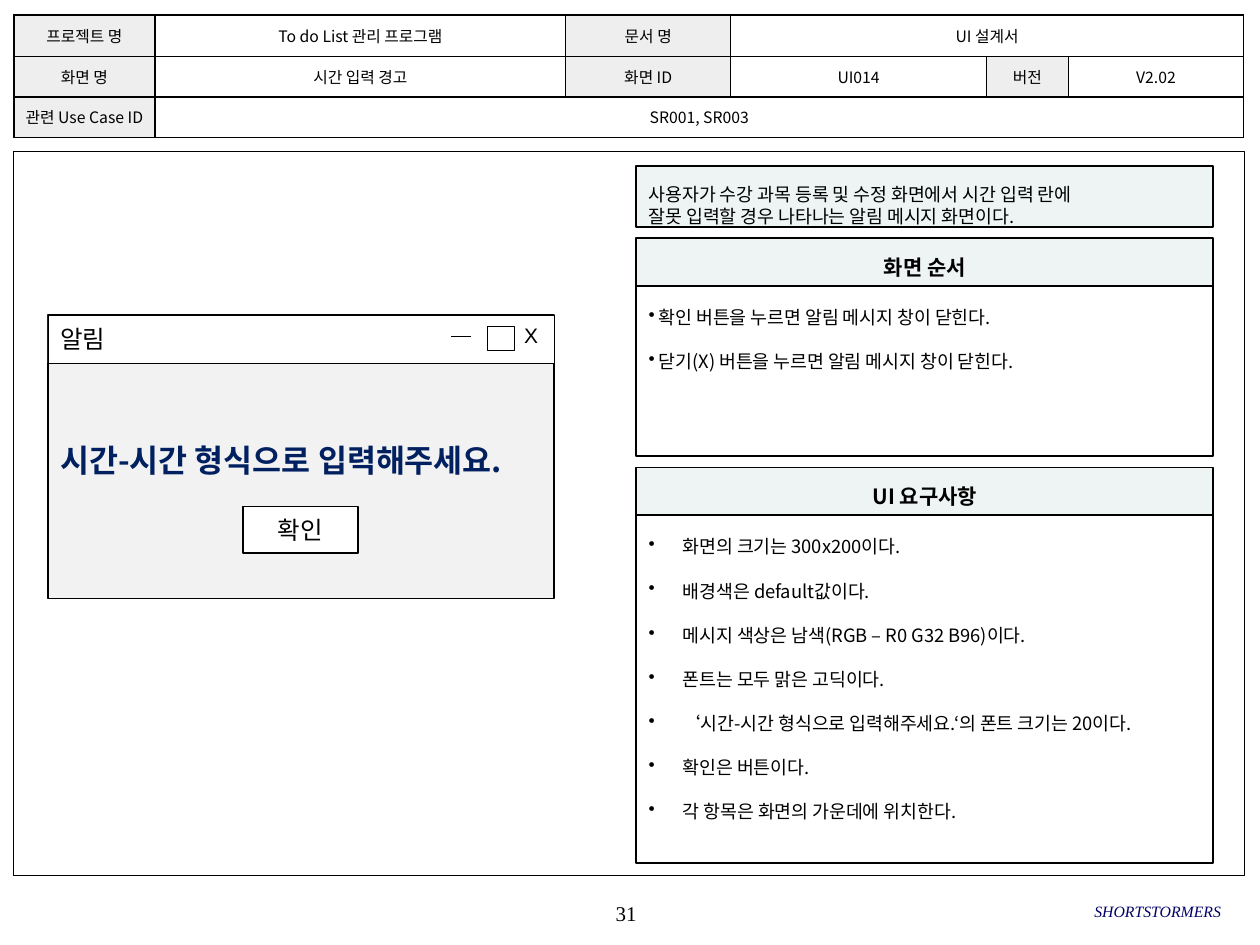
from lxml import etree
from pptx import Presentation
from pptx import util as u
from pptx.dml.color import RGBColor
from pptx.enum import shapes, text
from pptx.oxml.ns import qn

KOREAN = "Noto Sans CJK KR"
SERIF = "Times New Roman"
BLACK, WHITE, NAVY = "000000", "FFFFFF", "002060"
LABEL_FILL, PANEL_FILL, WINDOW_FILL = "EEEEEE", "EEF4F4", "F2F2F2"
LEFT, CENTER, RIGHT = text.PP_ALIGN.LEFT, text.PP_ALIGN.CENTER, text.PP_ALIGN.RIGHT
TOP, MIDDLE = text.MSO_ANCHOR.TOP, text.MSO_ANCHOR.MIDDLE
LINE_RATIO = 1.2


def color(hex_string):
    return RGBColor.from_string(hex_string)


class SlideBuilder:
    def __init__(self, slide, font=KOREAN, ink=BLACK):
        self.slide = slide
        self.font = font
        self.ink = ink

    def format_paragraph(self, paragraph, size, align=LEFT, bold=None, italic=None,
                         ink=None, font=None):
        paragraph.alignment = align
        style = paragraph.font
        style.size = u.Pt(size)
        style.bold, style.italic = bold, italic
        style.color.rgb = color(ink or self.ink)
        style.name = font or self.font
        defaults = paragraph._p.pPr.find(qn("a:defRPr"))
        etree.SubElement(defaults, qn("a:ea"), typeface=font or self.font)

    def add_bullet(self, paragraph, hang):
        properties = paragraph._p.pPr
        properties.set("marL", str(u.Inches(hang)))
        properties.set("indent", str(-u.Inches(hang)))
        bullet = etree.Element(qn("a:buChar"), char="•")
        properties.find(qn("a:defRPr")).addprevious(bullet)

    def set_text(self, shape, lines, size, anchor=MIDDLE, insets=(0.1, 0.05, 0.1, 0.05),
                 tight=False, gap=0, hang=0, **style):
        """Fill a shape with one paragraph per line; hang > 0 makes a bullet list."""
        frame = shape.text_frame
        frame.word_wrap = True
        frame.vertical_anchor = anchor
        (frame.margin_left, frame.margin_top,
         frame.margin_right, frame.margin_bottom) = map(u.Inches, insets)
        frame.text = "\n".join(lines)
        for paragraph in frame.paragraphs:
            self.format_paragraph(paragraph, size, **style)
            if tight:
                paragraph.line_spacing = u.Pt(size * LINE_RATIO)
            if gap:
                paragraph.space_after = u.Pt(gap)
            if hang:
                self.add_bullet(paragraph, hang)

    def box(self, left, top, width, height, fill=None, line_width=1):
        shape = self.slide.shapes.add_shape(
            shapes.MSO_SHAPE.RECTANGLE, *map(u.Inches, (left, top, width, height)))
        shape.shadow.inherit = False
        if fill:
            shape.fill.solid()
            shape.fill.fore_color.rgb = color(fill)
        else:
            shape.fill.background()
        shape.line.color.rgb = color(self.ink)
        shape.line.width = u.Pt(line_width)
        return shape

    def label(self, left, top, width, height, content, size, **options):
        shape = self.slide.shapes.add_textbox(
            *map(u.Inches, (left, top, width, height)))
        self.set_text(shape, [content], size, **options)

    def line(self, start, end, width):
        connector = self.slide.shapes.add_connector(
            shapes.MSO_CONNECTOR.STRAIGHT, *map(u.Inches, start + end))
        connector.line.color.rgb = color(self.ink)
        connector.line.width = u.Pt(width)
        etree.SubElement(connector._element.spPr, qn("a:effectLst"))

    def panel(self, top, body_height, title, items, hang):
        """A titled header with a bullet list below it."""
        left, width, header_height = 5.05, 4.58, 0.38
        header = self.box(left, top, width, header_height, PANEL_FILL)
        self.set_text(header, [title], 12, anchor=TOP, insets=(0.1, 0.13, 0.1, 0),
                      tight=True, align=CENTER, bold=True)
        body = self.box(left, top + header_height, width, body_height, WHITE)
        self.set_text(body, items, 10.5, anchor=TOP, insets=(0.1, 0.16, 0.1, 0.05),
                      tight=True, gap=10.5 * LINE_RATIO, hang=hang)

    def border_cell(self, cell, width=1):
        properties = cell._tc.get_or_add_tcPr()
        for index, side in enumerate(("lnL", "lnR", "lnT", "lnB")):
            border = etree.Element(qn(f"a:{side}"), w=str(u.Pt(width)))
            fill = etree.SubElement(border, qn("a:solidFill"))
            etree.SubElement(fill, qn("a:srgbClr"), val=self.ink)
            properties.insert(index, border)

    def table(self, left, top, columns, rows, cells, merges):
        """cells maps (row, column) to (content, is_label)."""
        table = self.slide.shapes.add_table(
            len(rows), len(columns), u.Inches(left), u.Inches(top),
            u.Inches(sum(columns)), u.Inches(sum(rows))).table
        for column, width in zip(table.columns, columns):
            column.width = u.Inches(width)
        for row, height in zip(table.rows, rows):
            row.height = u.Inches(height)
        for start, end in merges:
            table.cell(*start).merge(table.cell(*end))
        for row in range(len(rows)):
            for column in range(len(columns)):
                cell = table.cell(row, column)
                content, is_label = cells.get((row, column), ("", False))
                cell.fill.solid()
                cell.fill.fore_color.rgb = color(LABEL_FILL if is_label else WHITE)
                self.border_cell(cell)
                cell.vertical_anchor = MIDDLE
                cell.margin_left = cell.margin_right = u.Inches(0.04)
                cell.margin_top = cell.margin_bottom = u.Inches(0.02)
                cell.text = content
                self.format_paragraph(cell.text_frame.paragraphs[0], 9, align=CENTER)


def main():
    presentation = Presentation()
    presentation.slide_width, presentation.slide_height = u.Inches(10), u.Inches(7.5)
    builder = SlideBuilder(presentation.slides.add_slide(presentation.slide_layouts[6]))

    no_insets = (0, 0, 0, 0)
    builder.label(3.93, 7.08, 2.08, 0.33, "31", 12, insets=no_insets,
                  align=CENTER, font=SERIF)
    builder.box(0.11, 1.2, 9.77, 5.75, line_width=0.75)

    description = builder.box(5.05, 1.32, 4.58, 0.48, PANEL_FILL)
    builder.set_text(description,
                     ["사용자가 수강 과목 등록 및 수정 화면에서 시간 입력 란에",
                      "잘못 입력할 경우 나타나는 알림 메시지 화면이다."],
                     10.5, anchor=TOP, insets=(0.1, 0.13, 0.1, 0), tight=True)
    builder.panel(1.89, 1.35, "화면 순서",
                  ["확인 버튼을 누르면 알림 메시지 창이 닫힌다.",
                   "닫기(X) 버튼을 누르면 알림 메시지 창이 닫힌다."], hang=0.08)
    builder.panel(3.71, 2.76, "UI 요구사항",
                  ["화면의 크기는 300x200이다.",
                   "배경색은 default값이다.",
                   "메시지 색상은 남색(RGB – R0 G32 B96)이다.",
                   "폰트는 모두 맑은 고딕이다.",
                   "‘시간-시간 형식으로 입력해주세요.‘의 폰트 크기는 20이다.",
                   "확인은 버튼이다.",
                   "각 항목은 화면의 가운데에 위치한다."], hang=0.27)

    builder.table(
        0.11, 0.12, [1.12, 3.26, 1.31, 2.03, 0.65, 1.39], [0.33, 0.32, 0.32],
        {(0, 0): ("프로젝트 명", True), (0, 1): ("To do List 관리 프로그램", False),
         (0, 2): ("문서 명", True), (0, 3): ("UI 설계서", False),
         (1, 0): ("화면 명", True), (1, 1): ("시간 입력 경고", False),
         (1, 2): ("화면 ID", True), (1, 3): ("UI014", False),
         (1, 4): ("버전", True), (1, 5): ("V2.02", False),
         (2, 0): ("관련 Use Case ID", True), (2, 1): ("SR001, SR003", False)},
        merges=[((0, 3), (0, 5)), ((2, 1), (2, 5))])

    # Alert window
    builder.box(0.38, 2.5, 4.02, 2.25, WINDOW_FILL)
    builder.label(0.38, 3.45, 4.09, 0.4, "시간-시간 형식으로 입력해주세요.", 18,
                  bold=True, ink=NAVY)
    title_bar = builder.box(0.38, 2.5, 4.02, 0.38, WHITE, line_width=0.25)
    builder.set_text(title_bar, ["알림"], 14)
    builder.label(4.13, 2.51, 0.17, 0.3, "X", 12, insets=no_insets,
                  align=CENTER, font="Arial")
    builder.box(3.87, 2.59, 0.21, 0.19, WHITE, line_width=0.25)
    builder.line((3.74, 2.67), (3.58, 2.67), 0.25)
    confirm_button = builder.box(1.93, 4.02, 0.91, 0.37, WHITE)
    builder.set_text(confirm_button, ["확인"], 14, align=CENTER)

    builder.label(6.63, 7.07, 3.06, 0.33, "SHORTSTORMERS", 9, insets=no_insets,
                  align=RIGHT, italic=True, ink="000066", font=SERIF)
    presentation.save("out.pptx")


if __name__ == "__main__":
    main()
